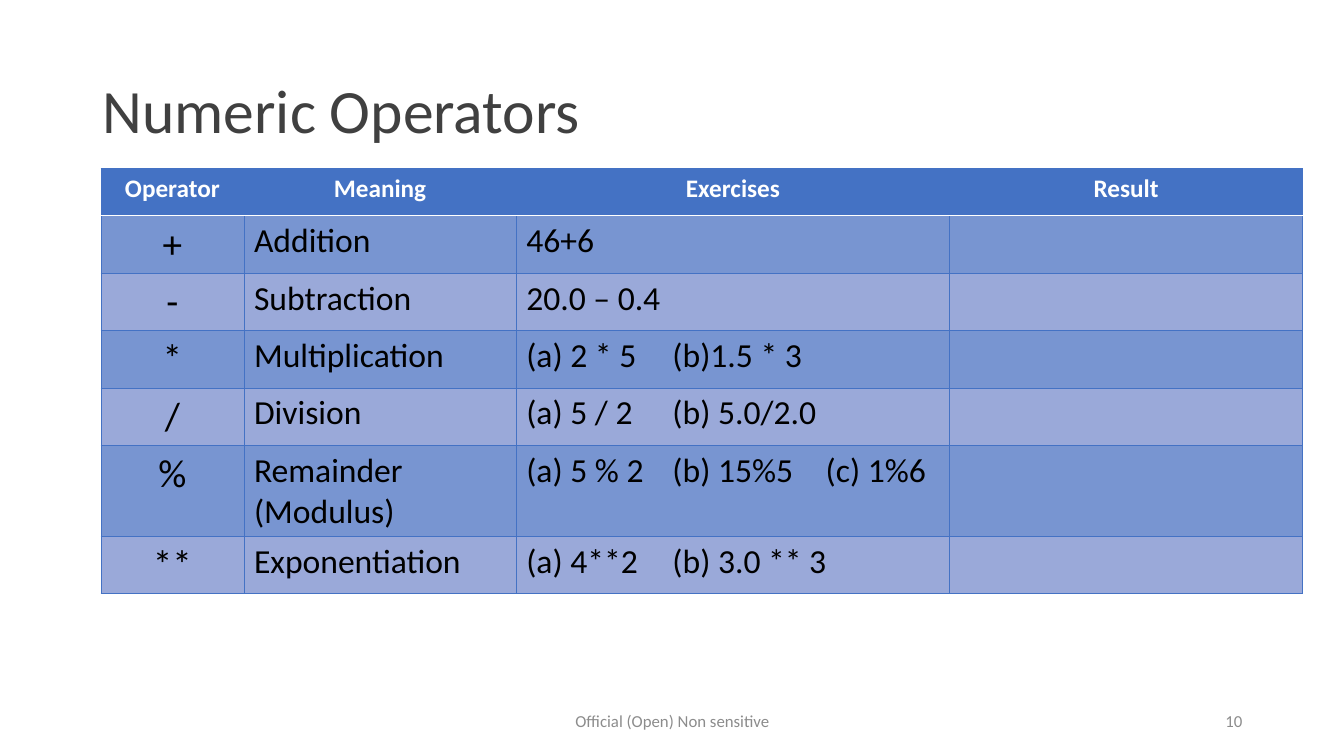
from lxml.etree import SubElement
from pptx import Presentation
from pptx.dml.color import RGBColor
from pptx.enum.text import MSO_ANCHOR, PP_ALIGN
from pptx.oxml.ns import qn
from pptx.util import Inches, Pt

BLUE, WHITE, BLACK = "4472C4", "FFFFFF", "000000"
BANDS = ("7895D1", "9AA9D9")
TITLE_GRAY, FOOTER_GRAY = "404040", "8C8C8C"
COLUMN_WIDTHS = (1.42, 2.7, 4.3, 3.5)
HEADER_HEIGHT, ROW_HEIGHT = 0.47, 0.57
EXERCISE_STOPS = (1.45, 2.97)
HEADINGS = ("Operator", "Meaning", "Exercises", "Result")
OPERATORS = (
    ("+", "Addition", ("46+6",)),
    ("-", "Subtraction", ("20.0 – 0.4",)),
    ("*", "Multiplication", ("(a) 2 * 5", "(b)1.5 * 3")),
    ("/", "Division", ("(a) 5 / 2", "(b) 5.0/2.0")),
    ("%", "Remainder (Modulus)", ("(a) 5 % 2", "(b) 15%5", "(c) 1%6")),
    ("**", "Exponentiation", ("(a) 4**2", "(b) 3.0 ** 3")),
)


def color(hex_string):
    return RGBColor.from_string(hex_string)


class SlideBuilder:
    def __init__(self, slide, font_name):
        self.slide = slide
        self.font_name = font_name

    def add_text_run(self, paragraph, text, size, text_color, align=PP_ALIGN.LEFT, bold=False):
        paragraph.alignment = align
        run = paragraph.add_run()
        run.text = text
        run.font.name = self.font_name
        run.font.size = Pt(size)
        run.font.bold = bold
        run.font.color.rgb = color(text_color)

    def text(self, box, text, size, text_color, align=PP_ALIGN.LEFT, line_spacing=1.0):
        shape = self.slide.shapes.add_textbox(*map(Inches, box))
        frame = shape.text_frame
        frame.word_wrap = True
        frame.vertical_anchor = MSO_ANCHOR.MIDDLE
        paragraph = frame.paragraphs[0]
        paragraph.line_spacing = line_spacing
        self.add_text_run(paragraph, text, size, text_color, align)

    def table(self, left, top, column_widths, row_heights):
        size = (sum(column_widths), sum(row_heights))
        shape = self.slide.shapes.add_table(
            len(row_heights), len(column_widths), *map(Inches, (left, top, *size)))
        table = shape.table
        table.first_row = table.horz_banding = False
        for column, width in zip(table.columns, column_widths):
            column.width = Inches(width)
        for row, height in zip(table.rows, row_heights):
            row.height = Inches(height)
        return table

    def cell(self, cell, fill, top=(BLUE, 0.5), bottom=(BLUE, 0.5)):
        properties = cell._tc.get_or_add_tcPr()
        edges = {"lnL": (BLUE, 0.5), "lnR": (BLUE, 0.5), "lnT": top, "lnB": bottom}
        for tag, (edge_color, width) in edges.items():
            line = SubElement(properties, qn(f"a:{tag}"), w=str(Pt(width)))
            solid = SubElement(line, qn("a:solidFill"))
            SubElement(solid, qn("a:srgbClr"), val=edge_color)
        cell.fill.solid()
        cell.fill.fore_color.rgb = color(fill)
        return cell.text_frame.paragraphs[0]

    def tab_stops(self, paragraph, positions):
        tabs = SubElement(paragraph._p.get_or_add_pPr(), qn("a:tabLst"))
        for position in positions:
            SubElement(tabs, qn("a:tab"), pos=str(Inches(position)), algn="l")


def main():
    presentation = Presentation()
    presentation.slide_width = Inches(13.33)
    presentation.slide_height = Inches(7.5)
    slide = presentation.slides.add_slide(presentation.slide_layouts[6])
    builder = SlideBuilder(slide, "Calibri")

    builder.text((0.92, 0.4, 11.5, 1.45), "Numeric Operators", 44, TITLE_GRAY,
                 line_spacing=0.9)
    builder.text((9.42, 6.95, 3, 0.4), "10", 12, FOOTER_GRAY, PP_ALIGN.RIGHT)
    builder.text((4.42, 6.95, 4.5, 0.4), "Official (Open) Non sensitive", 12,
                 FOOTER_GRAY, PP_ALIGN.CENTER)

    row_heights = [HEADER_HEIGHT] + [ROW_HEIGHT] * len(OPERATORS)
    table = builder.table(1, 1.67, COLUMN_WIDTHS, row_heights)
    header_rule = (WHITE, 1)
    for column, heading in enumerate(HEADINGS):
        paragraph = builder.cell(table.cell(0, column), BLUE, bottom=header_rule)
        builder.add_text_run(paragraph, heading, 18, WHITE, PP_ALIGN.CENTER, bold=True)

    for row, (symbol, meaning, exercises) in enumerate(OPERATORS, start=1):
        top = header_rule if row == 1 else (BLUE, 0.5)
        fill = BANDS[(row - 1) % 2]
        symbol_line, meaning_line, exercise_line, _ = [
            builder.cell(table.cell(row, column), fill, top=top)
            for column in range(len(HEADINGS))]
        builder.add_text_run(symbol_line, symbol, 28, BLACK, PP_ALIGN.CENTER)
        builder.add_text_run(meaning_line, meaning, 24, BLACK)
        if len(exercises) > 1:
            builder.tab_stops(exercise_line, EXERCISE_STOPS)
        builder.add_text_run(exercise_line, "\t".join(exercises), 24, BLACK)

    presentation.save("out.pptx")


if __name__ == "__main__":
    main()
